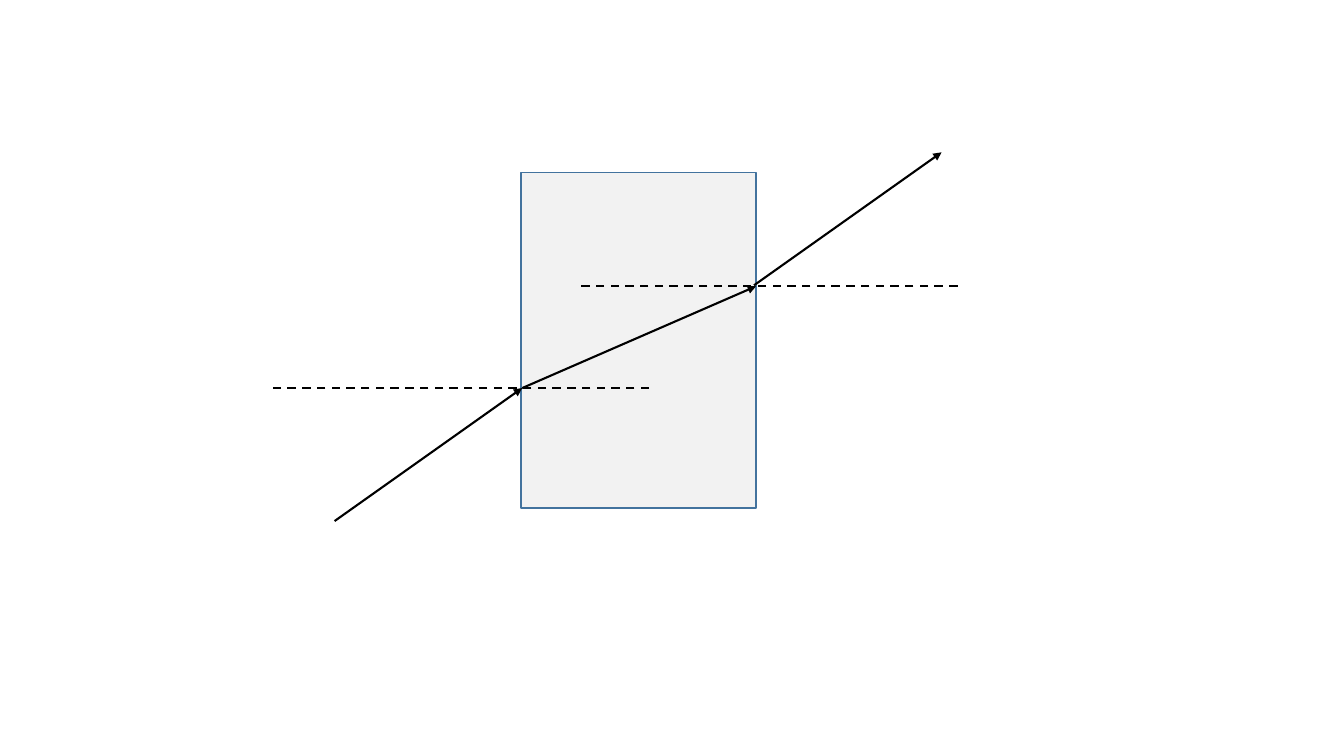
from dataclasses import dataclass

from pptx import Presentation
from pptx.dml.color import RGBColor
from pptx.enum import dml, shapes
from pptx.oxml import ns, xmlchemy
from pptx.util import Pt


@dataclass(frozen=True)
class Theme:
    glass: str = "F2F2F2"
    edge: str = "43739E"
    ink: str = "000000"
    thin: float = 1
    thick: float = 1.5


THEME = Theme()


def add_block(slide, left, top, width, height):
    block = slide.shapes.add_shape(
        shapes.MSO_SHAPE.RECTANGLE, Pt(left), Pt(top), Pt(width), Pt(height))
    block.shadow.inherit = False
    block.fill.solid()
    block.fill.fore_color.rgb = RGBColor.from_string(THEME.glass)
    block.line.color.rgb = RGBColor.from_string(THEME.edge)
    block.line.width = Pt(THEME.thin)


def add_line(slide, start, end):
    line = slide.shapes.add_connector(
        shapes.MSO_CONNECTOR.STRAIGHT, *map(Pt, start + end))
    line.line.color.rgb = RGBColor.from_string(THEME.ink)
    line.line.width = Pt(THEME.thick)
    props = line.line._get_or_add_ln().getparent()
    props.append(xmlchemy.OxmlElement("a:effectLst"))
    return line


def add_normal(slide, right, y, length):
    normal = add_line(slide, (right, y), (right - length, y))
    normal.line.dash_style = dml.MSO_LINE.DASH


def add_ray(slide, start, end):
    ray = add_line(slide, start, end)
    head = xmlchemy.OxmlElement("a:tailEnd")
    head.set("type", "triangle")
    ray._element.spPr.find(ns.qn("a:ln")).append(head)


def main():
    prs = Presentation()
    prs.slide_width, prs.slide_height = Pt(960), Pt(540)
    slide = prs.slides.add_slide(prs.slide_layouts[6])

    # Glass block
    add_block(slide, 372.24, 123.12, 167.76, 239.76)

    # Where the light enters and leaves, and its run outside the glass
    entry, leave = (373, 277.2), (538.6, 203.8)
    run, rise = 134, 95

    # Light reaching the glass
    add_normal(slide, 463.7, entry[1], 271.8)
    add_ray(slide, (entry[0] - run, entry[1] + rise), entry)

    # Light leaving the glass, parallel to the incoming ray
    add_normal(slide, 684, 204.5, 271.8)
    add_ray(slide, leave, (leave[0] + run, leave[1] - rise))

    # Refracted ray inside
    add_ray(slide, entry, (540, 204.5))

    prs.save("out.pptx")


if __name__ == "__main__":
    main()
